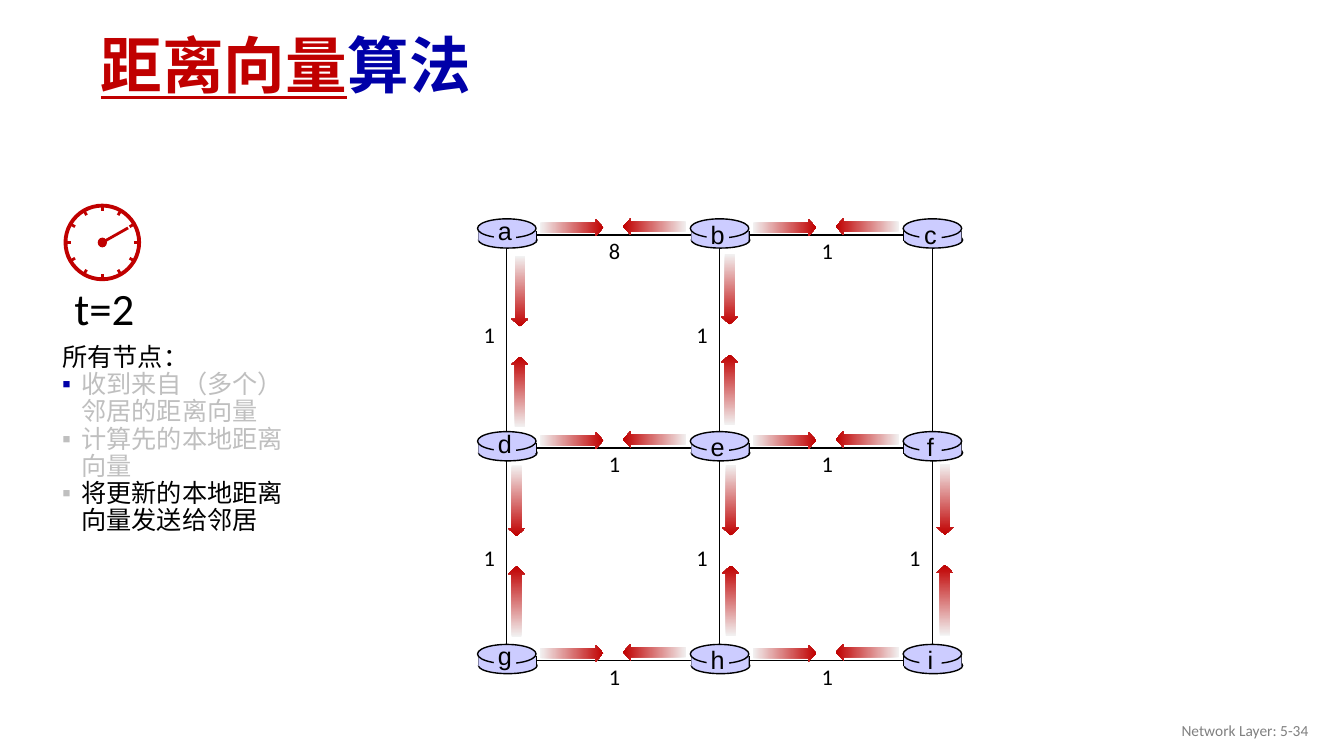
import math

import pptx
import pptx.dml.color
import pptx.enum.shapes
import pptx.enum.text
import pptx.util
from pptx.oxml import parse_xml
from pptx.oxml.ns import nsdecls

Pt = pptx.util.Pt
RGBColor = pptx.dml.color.RGBColor
SHAPE = pptx.enum.shapes.MSO_SHAPE
STRAIGHT = pptx.enum.shapes.MSO_CONNECTOR.STRAIGHT
ALIGN = pptx.enum.text.PP_ALIGN
ANCHOR = pptx.enum.text.MSO_ANCHOR
AUTO_SIZE = pptx.enum.text.MSO_AUTO_SIZE

BLACK = RGBColor(0x00, 0x00, 0x00)
RED = RGBColor(0xC0, 0x00, 0x00)
NAVY = RGBColor(0x00, 0x00, 0xA8)
LILAC = RGBColor(0xCC, 0xCC, 0xFF)
PALE = RGBColor(0xF2, 0xF2, 0xF2)
SILVER = RGBColor(0xBF, 0xBF, 0xBF)
GREY = RGBColor(0x80, 0x80, 0x80)

STEP = 152  # distance between neighbouring routers
ROUTERS = ["abc", "def", "ghi"]
ROW_COSTS = [[8, 1], [1, 1], [1, 1]]
# Vertical links: row, column, cost, offset of the upper arrow's centre
COLUMN_LINKS = [(0, 0, 1, 9.4, 40), (0, 1, 1, 7.2, 38.5), (1, 0, 1, 7, 37.7),
                (1, 1, 1, 8, 37.2), (1, 2, 1, 9, 36.8)]


def add_run(paragraph, words, size, color, font="Calibri"):
    run = paragraph.add_run()
    run.text = words
    run.font.size = Pt(size)
    run.font.name = font
    run.font.color.rgb = color
    return run


def add_label(shapes, box, words, size, color=BLACK, font="Calibri",
              align=ALIGN.LEFT, wrap=True):
    label = shapes.add_textbox(*map(Pt, box))
    frame = label.text_frame
    frame.word_wrap = wrap
    frame.paragraphs[0].alignment = align
    add_run(frame.paragraphs[0], words, size, color, font)
    return frame


def add_outline(shapes, kind, box, fill=None, line=None, width=1):
    part = shapes.add_shape(kind, *map(Pt, box))
    part.shadow.inherit = False
    if fill is None:
        part.fill.background()
    else:
        part.fill.solid()
        part.fill.fore_color.rgb = fill
    if line is None:
        part.line.fill.background()
    else:
        part.line.color.rgb = line
        part.line.width = Pt(width)
    return part


def add_line(shapes, start, end, color=BLACK, width=1):
    link = shapes.add_connector(STRAIGHT, *map(Pt, (*start, *end)))
    link.line.color.rgb = color
    link.line.width = Pt(width)
    link._element.spPr.append(parse_xml(f"<a:effectLst {nsdecls('a')}/>"))
    return link


def add_arrow(shapes, center, length, rotation):
    x, y = center
    arrow = add_outline(shapes, SHAPE.RIGHT_ARROW,
                        (x - length / 2, y - 6.1, length, 12.2))
    arrow.adjustments[0] = 0.58
    arrow.adjustments[1] = 0.45
    arrow.fill.gradient()
    arrow.fill.gradient_angle = 0
    for stop, color, position in zip(arrow.fill.gradient_stops, (PALE, RED), (0, 1)):
        stop.color.rgb = color
        stop.position = position
    arrow.rotation = rotation


def add_title(slide, box):
    title = slide.shapes.title
    title.left, title.top, title.width, title.height = map(Pt, box)
    frame = title.text_frame
    frame.auto_size = AUTO_SIZE.NONE
    frame.vertical_anchor = ANCHOR.MIDDLE
    heading = frame.paragraphs[0]
    heading.alignment = ALIGN.LEFT
    heading.line_spacing = 0.9
    for words, color, underline in (("距离向量", RED, True), ("算法", NAVY, False)):
        run = add_run(heading, words, 44, color)
        run.font.bold = True
        run.font.underline = underline


def add_router(slide, x, y, name, label_rise):
    shapes = slide.shapes.add_group_shape().shapes
    # Body
    add_outline(shapes, SHAPE.OVAL, (x - 20.2, y - 2.3, 41.8, 11.5), LILAC, BLACK)
    for side in (x - 20.2, x + 21):
        add_line(shapes, (side, y - 3.3), (side, y + 4))
    add_outline(shapes, SHAPE.RECTANGLE, (x - 20.2, y - 3.3, 41, 7.2), LILAC)
    # Lid, opened at the front for the name
    add_outline(shapes, SHAPE.OVAL, (x - 20.9, y - 11.7, 41.8, 13.7), LILAC, BLACK)
    add_outline(shapes, SHAPE.RECTANGLE, (x - 9.2, y - 8.2, 15.8, 14.4), LILAC)
    add_label(shapes, (x - 13.6, y - label_rise, 24.4, 28.8), name, 18,
              font="Arial", align=ALIGN.CENTER, wrap=False)


def add_network(slide, left, top):
    shapes = slide.shapes
    # Links
    frame = add_outline(shapes, SHAPE.RECTANGLE, (left, top, 2 * STEP, 2 * STEP), line=BLACK)
    middle_column = add_line(shapes, (left + STEP, top + 2 * STEP), (left + STEP, top))
    middle_column.begin_connect(frame, 2)
    middle_column.end_connect(frame, 0)
    middle_row = add_line(shapes, (left, top + STEP), (left + 2 * STEP, top + STEP))
    middle_row.begin_connect(frame, 1)
    middle_row.end_connect(frame, 3)

    # Costs and arrows along the rows
    for row, costs in enumerate(ROW_COSTS):
        for column, cost in enumerate(costs):
            x, y = left + column * STEP, top + row * STEP
            add_label(shapes, (x + 65.8, y - 2, 23.8, 26.6), str(cost), 16)
            add_arrow(shapes, (x + 46.3, y - 5.4), 45.4, 0)
            add_arrow(shapes, (x + 105.8, y - 6.2), 45.4, 180)

    # Costs and arrows along the columns
    for row, column, cost, shift, drop in COLUMN_LINKS:
        x, y = left + column * STEP, top + row * STEP
        add_label(shapes, (x - 23.6, y + 58 + 7 * row, 23.8, 26.6), str(cost), 16)
        add_arrow(shapes, (x + shift, y + drop), 50.4, 90)
        add_arrow(shapes, (x + shift, y + drop + 72), 50.4, 270)

    # Routers
    for row, names in enumerate(ROUTERS):
        for column, name in enumerate(names):
            add_router(slide, left + column * STEP, top + row * STEP, name,
                       17.8 if column == 0 else 15.2)


def add_clock(slide, x, y):
    shapes = slide.shapes.add_group_shape().shapes
    add_label(shapes, (x - 27, y + 24, 58.3, 46), "t=2", 32, wrap=False)
    add_outline(shapes, SHAPE.OVAL, (x - 26.3, y - 26.3, 52.6, 52.6), line=RED, width=2.75)
    for hour in range(12):
        angle = math.radians(30 * hour)
        inner, outer = [(round(x + r * math.sin(angle), 2), round(y - r * math.cos(angle), 2))
                        for r in (22.5, 27)]
        add_line(shapes, inner, outer, RED, 2)
    add_outline(shapes, SHAPE.OVAL, (x - 3.3, y - 3.5, 6.6, 7), RED)
    add_line(shapes, (x + 18.4, y - 10.4), (x, y), RED, 2)


def add_steps(slide, box):
    frame = add_label(slide.shapes, box, "所有节点：", 18)
    frame.paragraphs[0].line_spacing = 0.9
    for words, color, bullet in (("收到来自（多个）邻居的距离向量", SILVER, NAVY),
                                 ("计算先的本地距离向量", SILVER, SILVER),
                                 ("将更新的本地距离向量发送给邻居", BLACK, SILVER)):
        step = frame.add_paragraph()
        properties = step._p.get_or_add_pPr()
        properties.set("marL", str(Pt(13.7)))
        properties.set("indent", str(Pt(-13.7)))
        for tag in (f'<a:buClr {nsdecls("a")}><a:srgbClr val="{bullet}"/></a:buClr>',
                    f'<a:buFont {nsdecls("a")} typeface="Arial"/>',
                    f'<a:buChar {nsdecls("a")} char="▪"/>'):
            properties.append(parse_xml(tag))
        step.line_spacing = 0.9
        add_run(step, words, 18, color)


def add_footer(slide, box):
    frame = add_label(slide.shapes, box, "Network Layer: 5-34", 11, GREY, align=ALIGN.RIGHT)
    frame.vertical_anchor = ANCHOR.MIDDLE


def main():
    deck = pptx.Presentation()
    deck.slide_width, deck.slide_height = Pt(960), Pt(540)
    slide = deck.slides.add_slide(deck.slide_layouts[5])
    add_title(slide, (64.8, 13.7, 828, 70.6))
    add_network(slide, 362, 168)
    add_clock(slide, 73.1, 173.2)
    add_steps(slide, (37.4, 242.6, 172.8, 144.7))
    add_footer(slide, (725.8, 507.6, 216, 28.8))
    deck.save("out.pptx")


if __name__ == "__main__":
    main()
